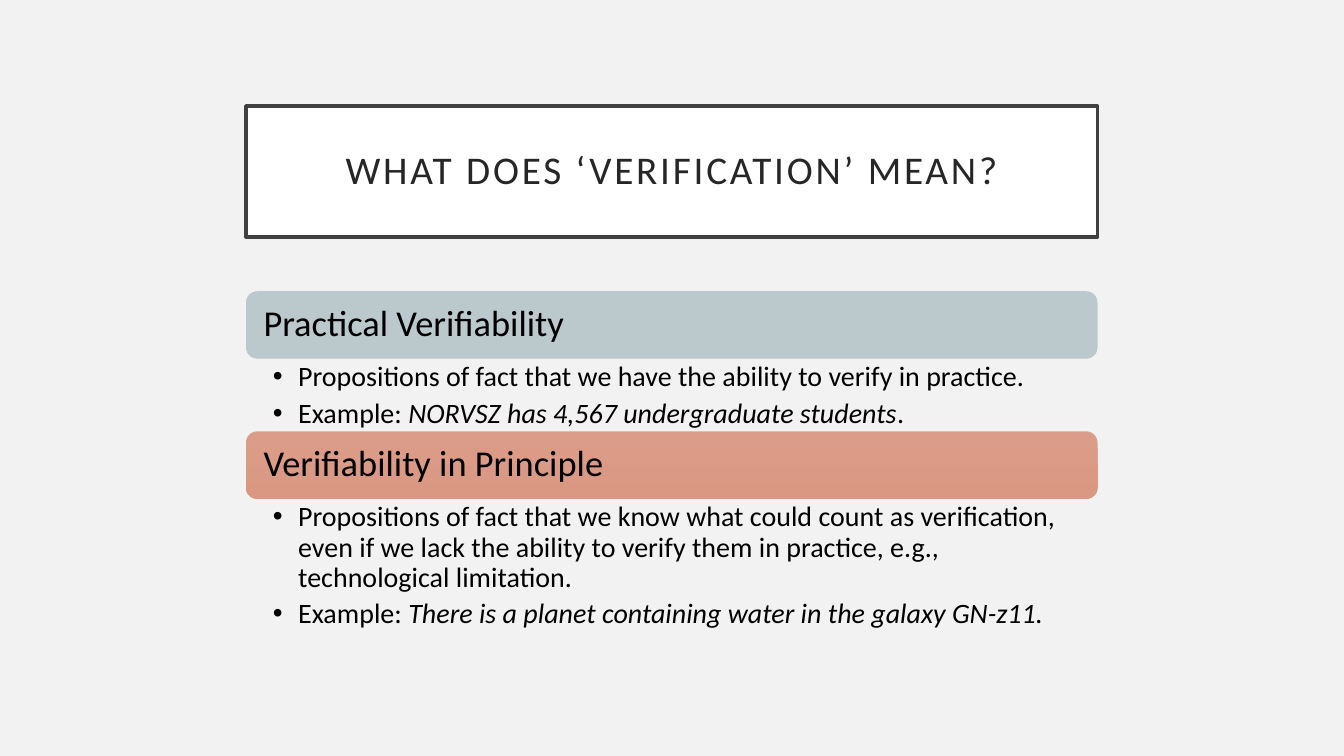
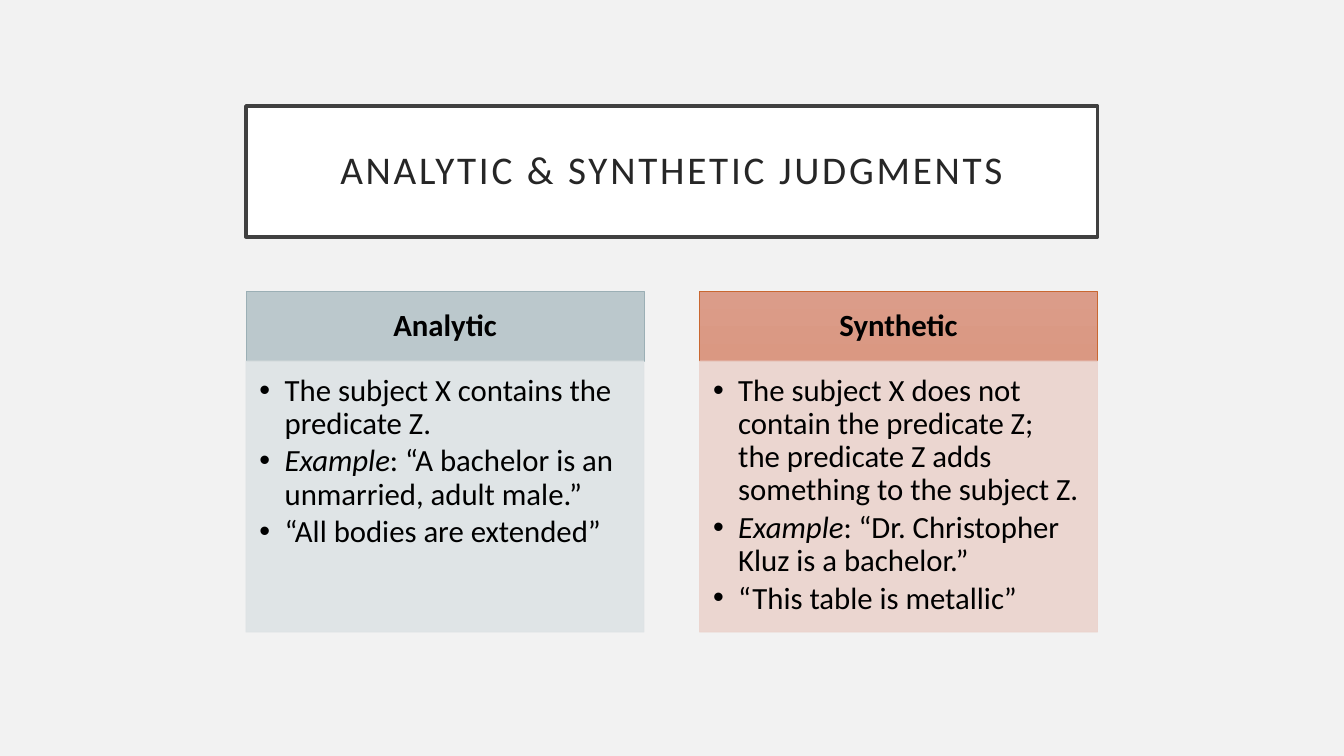
import pptx
import pptx.dml.color
import pptx.enum.shapes
import pptx.enum.text
import pptx.oxml.ns
import pptx.util
from lxml import etree

Cm = pptx.util.Cm
Pt = pptx.util.Pt
RGBColor = pptx.dml.color.RGBColor
Shapes = pptx.enum.shapes.MSO_SHAPE
Align = pptx.enum.text.PP_ALIGN
Anchor = pptx.enum.text.MSO_ANCHOR
qn = pptx.oxml.ns.qn

FONT = "Calibri"
PAGE = RGBColor(0xF2, 0xF2, 0xF2)
WHITE = RGBColor(0xFF, 0xFF, 0xFF)
BLACK = RGBColor(0x00, 0x00, 0x00)
FRAME = RGBColor(0x40, 0x40, 0x40)
TITLE_INK = RGBColor(0x26, 0x26, 0x26)
SAGE = (RGBColor(0xBB, 0xC8, 0xCC), RGBColor(0xB8, 0xC6, 0xCB))
SAGE_EDGE = RGBColor(0x9B, 0xAF, 0xB5)
SAGE_PALE = RGBColor(0xDE, 0xE3, 0xE5)
CLAY = (RGBColor(0xDB, 0x9C, 0x89), RGBColor(0xDA, 0x98, 0x82))
CLAY_EDGE = RGBColor(0xC9, 0x67, 0x31)
CLAY_PALE = RGBColor(0xEB, 0xD3, 0xCD)

LEFT, WIDTH = 6.2, 21.46
TITLE_TOP, TITLE_HEIGHT = 2.67, 3.3
CONTENT_TOP = 7.34
LINE_SPACING = 0.9
INDENT = 0.635

SECTIONS = [
    ("Practical Verifiability", SAGE, 1.83, [
        [("Propositions of fact that we have the ability to verify in practice.", False)],
        [("Example: ", False), ("NORVSZ has 4,567 undergraduate students", True), (".", False)],
    ]),
    ("Verifiability in Principle", CLAY, 3.35, [
        [("Propositions of fact that we know what could count as verification, "
          "even if we lack the ability to verify them in practice, e.g., "
          "technological limitation.", False)],
        [("Example: ", False),
         ("There is a planet containing water in the galaxy GN-z11.", True)],
    ]),
]

JUDGMENTS = [
    ("Analytic", SAGE, SAGE_EDGE, SAGE_PALE, [
        [("The subject X contains the predicate Z.", False)],
        [("Example", True), (": “A bachelor is an unmarried, adult male.”", False)],
        [("“All bodies are extended”", False)],
    ]),
    ("Synthetic", CLAY, CLAY_EDGE, CLAY_PALE, [
        [("The subject X does not contain the predicate Z; the predicate Z adds "
          "something to the subject Z.", False)],
        [("Example", True), (": “Dr. Christopher Kluz is a bachelor.”", False)],
        [("“This table is metallic”", False)],
    ]),
]


def set_frame(frame, anchor, insets):
    frame.word_wrap = True
    frame.auto_size = pptx.enum.text.MSO_AUTO_SIZE.NONE
    frame.vertical_anchor = anchor
    (frame.margin_left, frame.margin_top,
     frame.margin_right, frame.margin_bottom) = (Cm(inset) for inset in insets)


def add_run(paragraph, text, size, color=BLACK, bold=False, italic=False):
    run = paragraph.add_run()
    run.text = text
    run.font.name = FONT
    run.font.size = Pt(size)
    run.font.color.rgb = color
    run.font.bold = bold
    run.font.italic = italic
    return run


def add_titled_slide(deck, title):
    slide = deck.slides.add_slide(deck.slide_layouts[5])
    heading = slide.shapes.title
    heading.left, heading.top = Cm(LEFT), Cm(TITLE_TOP)
    heading.width, heading.height = Cm(WIDTH), Cm(TITLE_HEIGHT)
    heading.fill.solid()
    heading.fill.fore_color.rgb = WHITE
    heading.line.color.rgb = FRAME
    heading.line.width = Pt(2.5)
    set_frame(heading.text_frame, Anchor.MIDDLE, (0.5, 0.5, 0.5, 0.5))
    paragraph = heading.text_frame.paragraphs[0]
    paragraph.alignment = Align.CENTER
    paragraph.line_spacing = LINE_SPACING
    run = add_run(paragraph, title, 28, TITLE_INK)
    run.font._element.set("spc", "200")
    return slide


def add_band(slide, preset, left, top, width, height, text, shades, size,
             align, inset, edge=None, bold=False):
    band = slide.shapes.add_shape(preset, Cm(left), Cm(top), Cm(width), Cm(height))
    band.shadow.inherit = False
    band.fill.gradient()
    band.fill.gradient_angle = 270
    for stop, shade, position in zip(band.fill.gradient_stops, shades, (0, 1)):
        stop.color.rgb = shade
        stop.position = position
    if edge is None:
        band.line.fill.background()
    else:
        band.line.color.rgb = edge
        band.line.width = Pt(0.5)
    set_frame(band.text_frame, Anchor.MIDDLE, (inset, 0.25, inset, 0.25))
    paragraph = band.text_frame.paragraphs[0]
    paragraph.alignment = align
    paragraph.line_spacing = LINE_SPACING
    add_run(paragraph, text, size, bold=bold)


def add_bullets(frame, items, size, gap):
    for index, item in enumerate(items):
        paragraph = frame.add_paragraph() if index else frame.paragraphs[0]
        paragraph.alignment = Align.LEFT
        paragraph.line_spacing = LINE_SPACING
        paragraph.space_after = Pt(gap)
        properties = paragraph._p.get_or_add_pPr()
        properties.set("marL", str(Cm(INDENT)))
        properties.set("indent", str(-Cm(INDENT)))
        etree.SubElement(properties, qn("a:buFont")).set("typeface", "Arial")
        etree.SubElement(properties, qn("a:buChar")).set("char", "•")
        for text, italic in item:
            add_run(paragraph, text, size, italic=italic)


def add_panel(slide, left, top, width, height, color, items):
    panel = slide.shapes.add_shape(
        Shapes.RECTANGLE, Cm(left), Cm(top), Cm(width), Cm(height))
    panel.shadow.inherit = False
    panel.fill.solid()
    panel.fill.fore_color.rgb = color
    panel.line.color.rgb = color
    panel.line.width = Pt(0.5)
    for tint in panel._element.spPr.iter(qn("a:srgbClr")):
        etree.SubElement(tint, qn("a:alpha")).set("val", "90000")
    set_frame(panel.text_frame, Anchor.TOP, (0.34, 0.34, 0.43, 0.48))
    add_bullets(panel.text_frame, items, 22, 3)


def build_verification(deck):
    slide = add_titled_slide(deck, "WHAT DOES ‘VERIFICATION’ MEAN?")
    band_height = 1.7
    top = CONTENT_TOP
    for heading, shades, text_height, items in SECTIONS:
        add_band(slide, Shapes.ROUNDED_RECTANGLE, LEFT, top, WIDTH, band_height,
                 heading, shades, 26, Align.LEFT, 0.36)
        top += band_height
        details = slide.shapes.add_textbox(
            Cm(LEFT), Cm(top), Cm(WIDTH), Cm(text_height))
        set_frame(details.text_frame, Anchor.TOP, (0.68, 0.1, 0.5, 0.1))
        add_bullets(details.text_frame, items, 20, 4.3)
        top += text_height


def build_judgments(deck):
    slide = add_titled_slide(deck, "ANALYTIC & SYNTHETIC JUDGMENTS")
    column_width, band_height, panel_height = 10.03, 1.76, 6.83
    for column, (heading, shades, edge, pale, items) in enumerate(JUDGMENTS):
        left = LEFT + column * (WIDTH - column_width)
        add_band(slide, Shapes.RECTANGLE, left, CONTENT_TOP, column_width, band_height,
                 heading, shades, 22, Align.CENTER, 0.43, edge, bold=True)
        add_panel(slide, left, CONTENT_TOP + band_height, column_width, panel_height,
                  pale, items)


def main():
    deck = pptx.Presentation()
    deck.slide_width, deck.slide_height = Cm(33.87), Cm(19.05)
    background = deck.slide_master.background.fill
    background.solid()
    background.fore_color.rgb = PAGE
    build_verification(deck)
    build_judgments(deck)
    deck.save("out.pptx")


if __name__ == "__main__":
    main()
